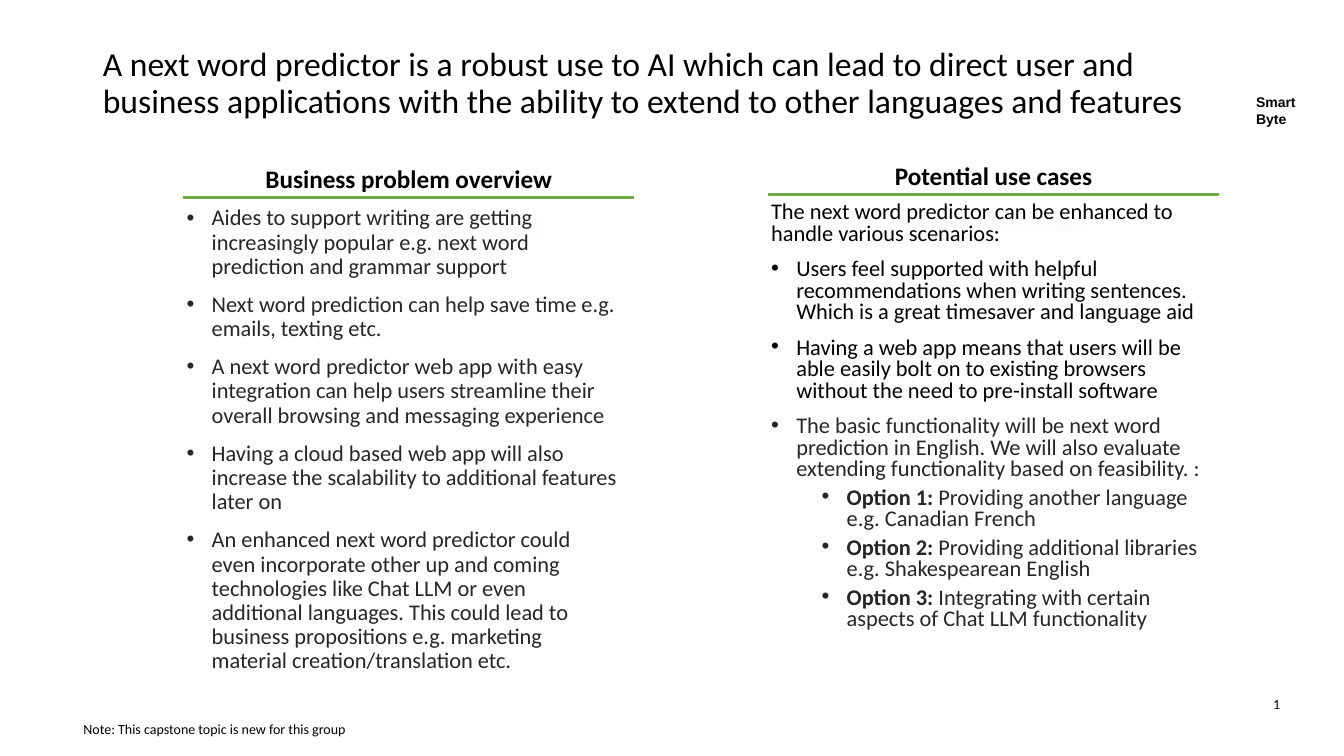
import pptx
import pptx.dml.color
import pptx.enum.shapes
import pptx.enum.text
import pptx.oxml
import pptx.oxml.ns
import pptx.util
from pptx.util import Inches

BLACK, GREY, GREEN = "000000", "262626", "70AD47"
HEADING_SHADOW = (
    '<a:effectLst %s><a:outerShdw blurRad="152400" dist="317500" dir="5400000"'
    ' sx="90000" sy="-19000" rotWithShape="0"><a:prstClr val="black">'
    '<a:alpha val="15000"/></a:prstClr></a:outerShdw></a:effectLst>'
    % pptx.oxml.ns.nsdecls("a"))
NO_EFFECT = "<a:effectLst %s/>" % pptx.oxml.ns.nsdecls("a")

PROBLEM_POINTS = [
    "Aides to support writing are getting increasingly popular e.g. next word prediction and grammar support",
    "Next word prediction can help save time e.g. emails, texting etc.",
    "A next word predictor web app with easy integration can help users streamline their overall browsing and messaging experience",
    "Having a cloud based web app will also increase the scalability to additional features later on",
    "An enhanced next word predictor could even incorporate other up and coming technologies like Chat LLM or even additional languages. This could lead to business propositions e.g. marketing material creation/translation etc.",
]
USE_CASES = [
    "Users feel supported with helpful recommendations when writing sentences. Which is a great timesaver and language aid",
    "Having a web app means that users will be able easily bolt on to existing browsers without the need to pre-install software",
]
EXTENSION = "The basic functionality will be next word prediction in English. We will also evaluate extending functionality based on feasibility. :"
OPTIONS = [
    "Providing another language e.g. Canadian French",
    "Providing additional libraries e.g. Shakespearean English",
    "Integrating with certain aspects of Chat LLM functionality",
]


def rgb(value):
    return pptx.dml.color.RGBColor.from_string(value)


class SlideWriter:
    """Holds the text style and the slide being filled."""

    def __init__(self, slide, font="Calibri"):
        self.slide = slide
        self.font = font

    def place(self, shape, left, top, width, height, wrap=True):
        shape.left, shape.top = Inches(left), Inches(top)
        shape.width, shape.height = Inches(width), Inches(height)
        shape.text_frame.word_wrap = wrap
        shape.text_frame.auto_size = pptx.enum.text.MSO_AUTO_SIZE.NONE
        return shape

    def text_box(self, left, top, width, height, wrap=True):
        box = self.slide.shapes.add_textbox(0, 0, 0, 0)
        return self.place(box, left, top, width, height, wrap)

    def span(self, para, text, size, color=BLACK, bold=False, font=None):
        span = para.add_run()
        span.text = text
        span.font.name = font or self.font
        span.font.size = pptx.util.Pt(size)
        span.font.bold = bold
        span.font.color.rgb = rgb(color)

    def para(self, box, spacing=None, before=0, indent=None, level=0):
        """Return the next paragraph; an indent in inches makes it a bullet."""
        frame = box.text_frame
        para = frame.paragraphs[0] if not frame.paragraphs[0].runs else frame.add_paragraph()
        para.alignment = pptx.enum.text.PP_ALIGN.LEFT
        para.level = level
        para.line_spacing = spacing
        para.space_before = pptx.util.Pt(before)
        if indent:
            properties = para._p.get_or_add_pPr()
            properties.set("marL", str(Inches(indent)))
            properties.set("indent", str(Inches(-0.25)))
            for tag, name, value in (("a:buFont", "typeface", "Arial"), ("a:buChar", "char", "•")):
                bullet = pptx.oxml.parse_xml("<%s %s/>" % (tag, pptx.oxml.ns.nsdecls("a")))
                bullet.set(name, value)
                properties.append(bullet)
        return para

    def heading(self, text, left, top):
        """Centred column heading with a green rule below it."""
        width = 4.47
        box = self.text_box(left, top, width, 0.32)
        box._element.spPr.append(pptx.oxml.parse_xml(HEADING_SHADOW))
        para = self.para(box)
        para.alignment = pptx.enum.text.PP_ALIGN.CENTER
        self.span(para, text, 18, bold=True)
        rule_top = Inches(top + 0.39)
        rule = self.slide.shapes.add_connector(
            pptx.enum.shapes.MSO_CONNECTOR.STRAIGHT,
            Inches(left), rule_top, Inches(left + width), rule_top)
        rule.line.color.rgb = rgb(GREEN)
        rule.line.width = pptx.util.Pt(2.5)
        rule._element.spPr.append(pptx.oxml.parse_xml(NO_EFFECT))

    def label(self, text, left, top, width, wrap=False, bold=False, font=None):
        box = self.text_box(left, top, width, 0.27, wrap)
        self.span(self.para(box), text, 10, bold=bold, font=font)


def main():
    deck = pptx.Presentation()
    deck.slide_width, deck.slide_height = Inches(13.33), Inches(7.5)
    slide = deck.slides.add_slide(deck.slide_layouts[1])
    page = SlideWriter(slide)

    title = page.place(slide.shapes.title, 0.92, 0.4, 11.5, 0.87)
    title.text_frame.vertical_anchor = pptx.enum.text.MSO_ANCHOR.MIDDLE
    page.span(page.para(title, 0.9),
              "A next word predictor is a robust use to AI which can lead to direct user and "
              "business applications with the ability to extend to other languages and features", 24)

    problem = page.place(slide.placeholders[1], 1.75, 2, 4.47, 4.76)
    for point in PROBLEM_POINTS:
        page.span(page.para(problem, 0.9, 10, 0.25), point, 16, GREY)
    page.heading("Business problem overview", 1.82, 1.57)

    use_cases = page.text_box(7.55, 1.96, 4.47, 4.76)
    page.span(page.para(use_cases, 0.8, 10),
              "The next word predictor can be enhanced to handle various scenarios:", 16)
    for case in USE_CASES:
        page.span(page.para(use_cases, 0.8, 10, 0.25), case, 16)
    page.span(page.para(use_cases, 0.8, 10, 0.25), EXTENSION, 16, GREY)
    for number, option in enumerate(OPTIONS, 1):
        para = page.para(use_cases, 0.8, 5, 0.75, level=1)
        page.span(para, f"Option {number}: ", 16, GREY, bold=True)
        page.span(para, option, 16, GREY)
    page.heading("Potential use cases", 7.62, 1.54)

    page.label("Smart Byte", 12.36, 0.88, 0.89, wrap=True, bold=True, font="Arial")
    page.label("1", 12.53, 6.85, 0.27)
    page.label("Note: This capstone topic is new for this group", 0.73, 7.1, 2.84)
    deck.save("out.pptx")


if __name__ == "__main__":
    main()
